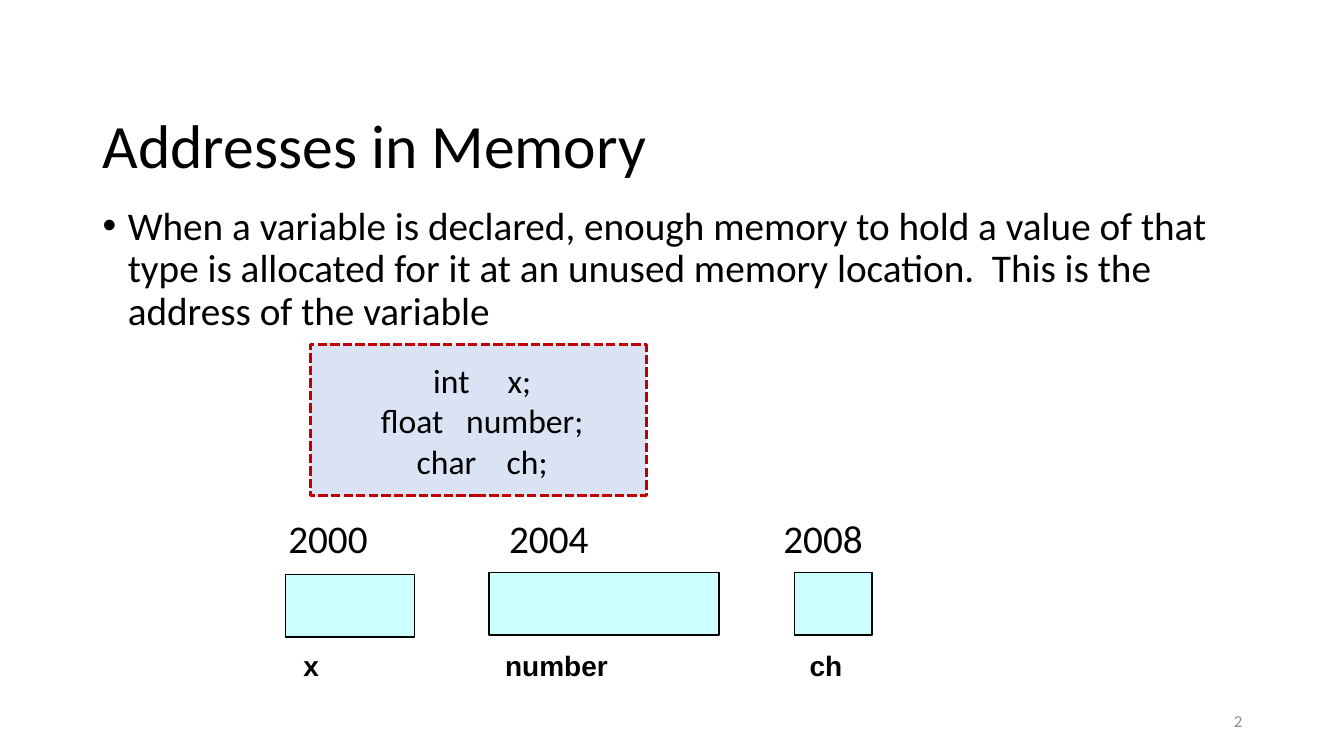
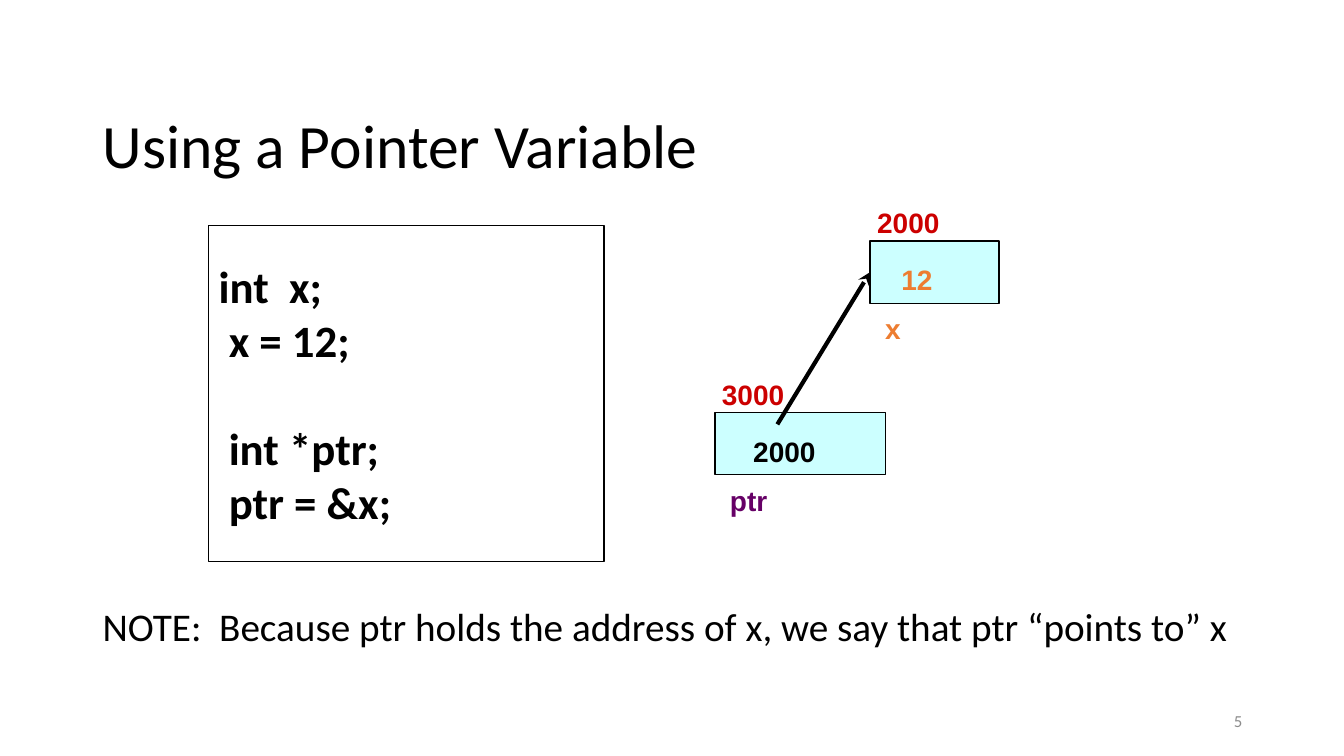
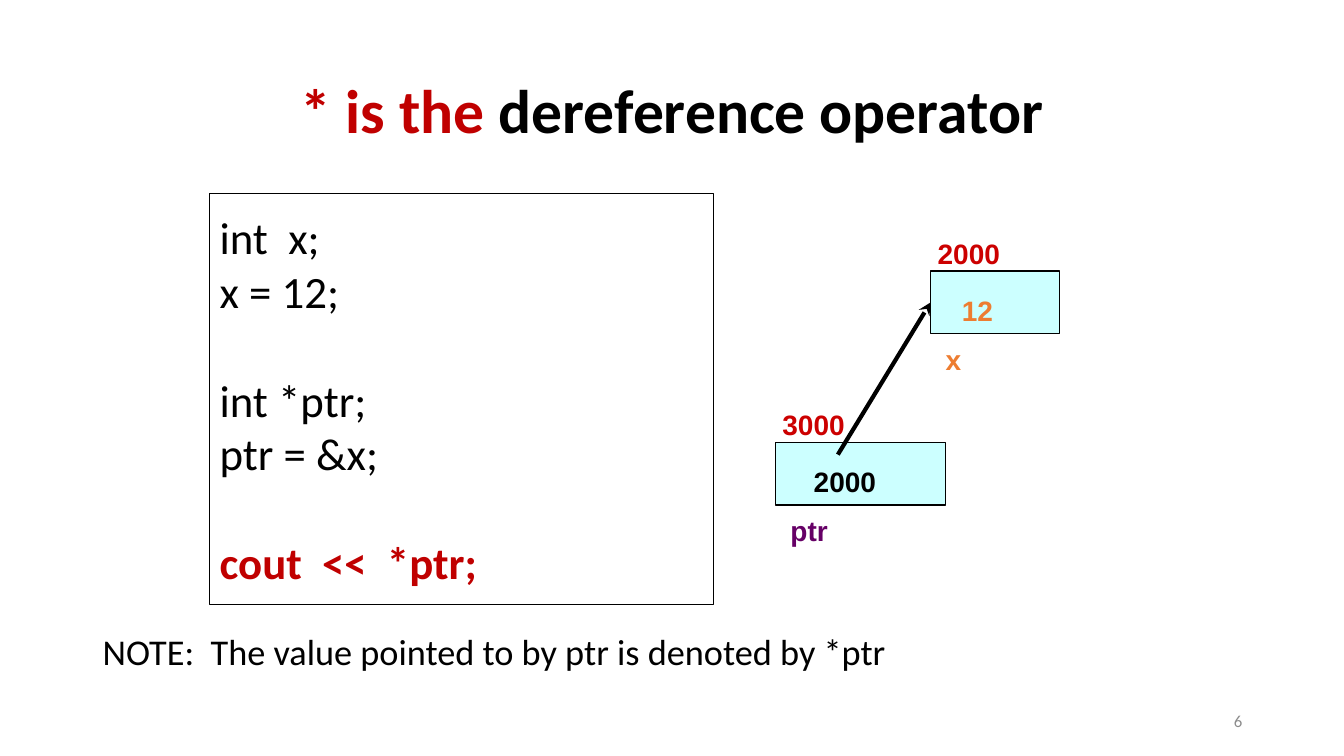
"""Build three slides on memory addresses, pointers and dereferencing."""
from dataclasses import dataclass

from lxml import etree
from pptx import Presentation, util as u
from pptx.dml.color import RGBColor
from pptx.enum import dml, shapes, text
from pptx.oxml.ns import qn


@dataclass(frozen=True)
class Theme:
    sans: str = "Calibri"
    label_font: str = "Arial"
    black: str = "000000"
    white: str = "FFFFFF"
    grey: str = "8C8C8C"
    red: str = "C00000"
    address_red: str = "CC0000"
    orange: str = "ED7D31"
    purple: str = "660066"
    cell: str = "CCFFFF"
    panel: str = "DAE3F3"
    title: float = 44
    code: float = 32
    body: float = 28
    note: float = 25.9
    declaration: float = 24
    label: float = 20
    page: float = 12


THEME = Theme()
LEFT, MIDDLE, TOP = text.PP_ALIGN.LEFT, text.MSO_ANCHOR.MIDDLE, text.MSO_ANCHOR.TOP
CENTER, RIGHT = text.PP_ALIGN.CENTER, text.PP_ALIGN.RIGHT
INSETS = (0.1, 0.05, 0.1, 0.05)
MARGIN, CONTENT_WIDTH = 0.92, 11.5
CELL_HEIGHT = 0.62
BLANK_LINE = 39

ALLOCATION = (
    "When a variable is declared, enough memory to hold a value of that type is "
    "allocated for it at an unused memory location.  This is the address of the variable"
)
DECLARATIONS = [[" int     x;", " float   number;", " char    ch;"]]
VARIABLES = [
    {"name": "x", "address": "2000", "cell": (2.83, 5.7, 1.28), "address_x": 2.86, "name_x": 3.01},
    {"name": "number", "address": "2004", "cell": (4.85, 5.68, 2.28), "address_x": 5.05, "name_x": 5.01},
    {"name": "ch", "address": "2008", "cell": (7.88, 5.68, 0.77), "address_x": 7.77, "name_x": 8.03},
]
POINTER_SLIDES = [
    {
        "title": [("Using a Pointer Variable", THEME.black, False)],
        "centered": False,
        "page": 5,
        "code": [["int  x;", " x = 12;"], [" int *ptr;", " ptr = &x;"]],
        "code_at": (2.07, 2.24, 3.92, 3.33),
        "bold": True,
        "diagram": (7.09, 2.39),
        "note": "NOTE:  Because ptr holds the address of x, we say that ptr “points to” x",
        "note_size": THEME.body,
        "note_middle": 6.21,
    },
    {
        "title": [("* is the", THEME.red, True), (" dereference operator", THEME.black, True)],
        "centered": True,
        "page": 6,
        "code": [["int  x;", "x = 12;"], ["int *ptr;", "ptr = &x;"],
                 [("cout  <<  *ptr;", THEME.red, True)]],
        "code_at": (2.08, 1.92, 5, 4.08),
        "bold": False,
        "diagram": (7.69, 2.69),
        "note": "NOTE:  The value pointed to by ptr is denoted by *ptr",
        "note_size": THEME.note,
        "note_middle": 6.46,
    },
]
DIAGRAM_CELLS = [
    {"name": "ptr", "address": "3000", "value": "2000", "at": (0, 1.7, 1.69),
     "value_inset": 0.38, "value_color": THEME.black, "name_color": THEME.purple},
    {"name": "x", "address": "2000", "value": "12", "at": (1.54, 0, 1.28),
     "value_inset": 0.31, "value_color": THEME.orange, "name_color": THEME.orange},
]


def inches(*values):
    return [u.Inches(value) for value in values]


def write(shape, lines, size, font=THEME.sans, align=LEFT, anchor=MIDDLE, insets=INSETS):
    frame = shape.text_frame
    frame.word_wrap = True
    frame.vertical_anchor = anchor
    frame.margin_left, frame.margin_top, frame.margin_right, frame.margin_bottom = inches(*insets)
    for index, spans in enumerate(lines):
        para = frame.add_paragraph() if index else frame.paragraphs[0]
        para.alignment = align
        for content, color, bold in spans:
            span = para.add_run()
            span.text = content
            span.font.name = font
            span.font.size = u.Pt(size)
            span.font.bold = bold
            span.font.color.rgb = RGBColor.from_string(color)
    return frame.paragraphs


def add_text(slide, at, spans, size, **style):
    box = slide.shapes.add_textbox(*inches(*at))
    return write(box, [spans], size, **style)[0]


def add_rectangle(slide, at, fill, line=THEME.black, width=1):
    box = slide.shapes.add_shape(shapes.MSO_SHAPE.RECTANGLE, *inches(*at))
    box.shadow.inherit = False
    box.fill.solid()
    box.fill.fore_color.rgb = RGBColor.from_string(fill)
    box.line.color.rgb = RGBColor.from_string(line)
    box.line.width = u.Pt(width)
    return box


def add_label(slide, left, middle, content, color=THEME.black,
              size=THEME.label, font=THEME.label_font, bold=True):
    add_text(slide, (left, middle - 0.25, 1.5, 0.5), [(content, color, bold)], size,
             font=font, insets=(0, 0, 0, 0))


def add_code(box, blocks, size, bold=False, align=LEFT):
    lines = [[(line, THEME.black, bold)] if isinstance(line, str) else [line]
             for block in blocks for line in block]
    paras = write(box, lines, size, align=align)
    start = 0
    for block in blocks[:-1]:
        start += len(block)
        paras[start].space_before = u.Pt(BLANK_LINE)


def add_page(deck, title, number, centered=False):
    slide = deck.slides.add_slide(deck.slide_layouts[6])
    heading = add_text(slide, (MARGIN, 0.4, CONTENT_WIDTH, 1.45), title, THEME.title,
                       align=CENTER if centered else LEFT,
                       anchor=MIDDLE if centered else text.MSO_ANCHOR.BOTTOM)
    heading.line_spacing = 0.9
    add_text(slide, (9.42, 6.95, 3, 0.4), [(str(number), THEME.grey, False)],
             THEME.page, align=RIGHT)
    return slide


def add_arrow(slide, start, target):
    arrow = slide.shapes.add_connector(shapes.MSO_CONNECTOR.STRAIGHT, *inches(*start, *start))
    arrow.end_connect(target, 1)
    arrow.line.color.rgb = RGBColor.from_string(THEME.black)
    arrow.line.width = u.Pt(3)
    etree.SubElement(arrow.line._get_or_add_ln(), qn("a:tailEnd"), type="stealth")
    etree.SubElement(arrow._element.spPr, qn("a:effectLst"))


def add_diagram(slide, left, top):
    for cell in DIAGRAM_CELLS:
        dx, dy, width = cell["at"]
        x, y = left + dx, top + dy
        box = add_rectangle(slide, (x, y, width, CELL_HEIGHT), THEME.cell)
        write(box, [[(cell["value"], cell["value_color"], True)]], THEME.label,
              font=THEME.label_font, insets=(cell["value_inset"], 0.15, 0, 0))
        add_label(slide, x + 0.07, y - 0.18, cell["address"], THEME.address_red)
        add_label(slide, x + 0.15, y + 0.87, cell["name"], cell["name_color"])
    add_arrow(slide, (left + 0.62, top + 1.82), box)


def build_memory(deck):
    slide = add_page(deck, [("Addresses in Memory", THEME.black, False)], 2)
    bullet = add_text(slide, (MARGIN, 2, CONTENT_WIDTH, 1.4),
                      [(ALLOCATION, THEME.black, False)], THEME.body, anchor=TOP)
    bullet.line_spacing = 0.9
    properties = bullet._p.get_or_add_pPr()
    properties.set("marL", str(u.Inches(0.25)))
    properties.set("indent", str(-u.Inches(0.25)))
    etree.SubElement(properties, qn("a:buFont"), typeface=THEME.label_font)
    etree.SubElement(properties, qn("a:buChar"), char="•")

    panel = add_rectangle(slide, (3.08, 3.42, 3.33, 1.5), THEME.panel, THEME.red, 2.25)
    panel.line.dash_style = dml.MSO_LINE.SQUARE_DOT
    add_code(panel, DECLARATIONS, THEME.declaration, align=CENTER)
    for variable in VARIABLES:
        add_rectangle(slide, (*variable["cell"], CELL_HEIGHT), THEME.cell)
        add_label(slide, variable["address_x"], 5.34, variable["address"],
                  size=THEME.body, font=THEME.sans, bold=False)
        add_label(slide, variable["name_x"], 6.6, variable["name"])


def build_pointer(deck, topic):
    slide = add_page(deck, topic["title"], topic["page"], topic["centered"])
    panel = add_rectangle(slide, topic["code_at"], THEME.white)
    add_code(panel, topic["code"], THEME.code, topic["bold"])
    add_diagram(slide, *topic["diagram"])
    add_text(slide, (MARGIN, topic["note_middle"] - 0.3, CONTENT_WIDTH, 0.6),
             [(topic["note"], THEME.black, False)], topic["note_size"])


def main():
    deck = Presentation()
    deck.slide_width, deck.slide_height = inches(13.33, 7.5)
    build_memory(deck)
    for topic in POINTER_SLIDES:
        build_pointer(deck, topic)
    deck.save("out.pptx")


if __name__ == "__main__":
    main()
